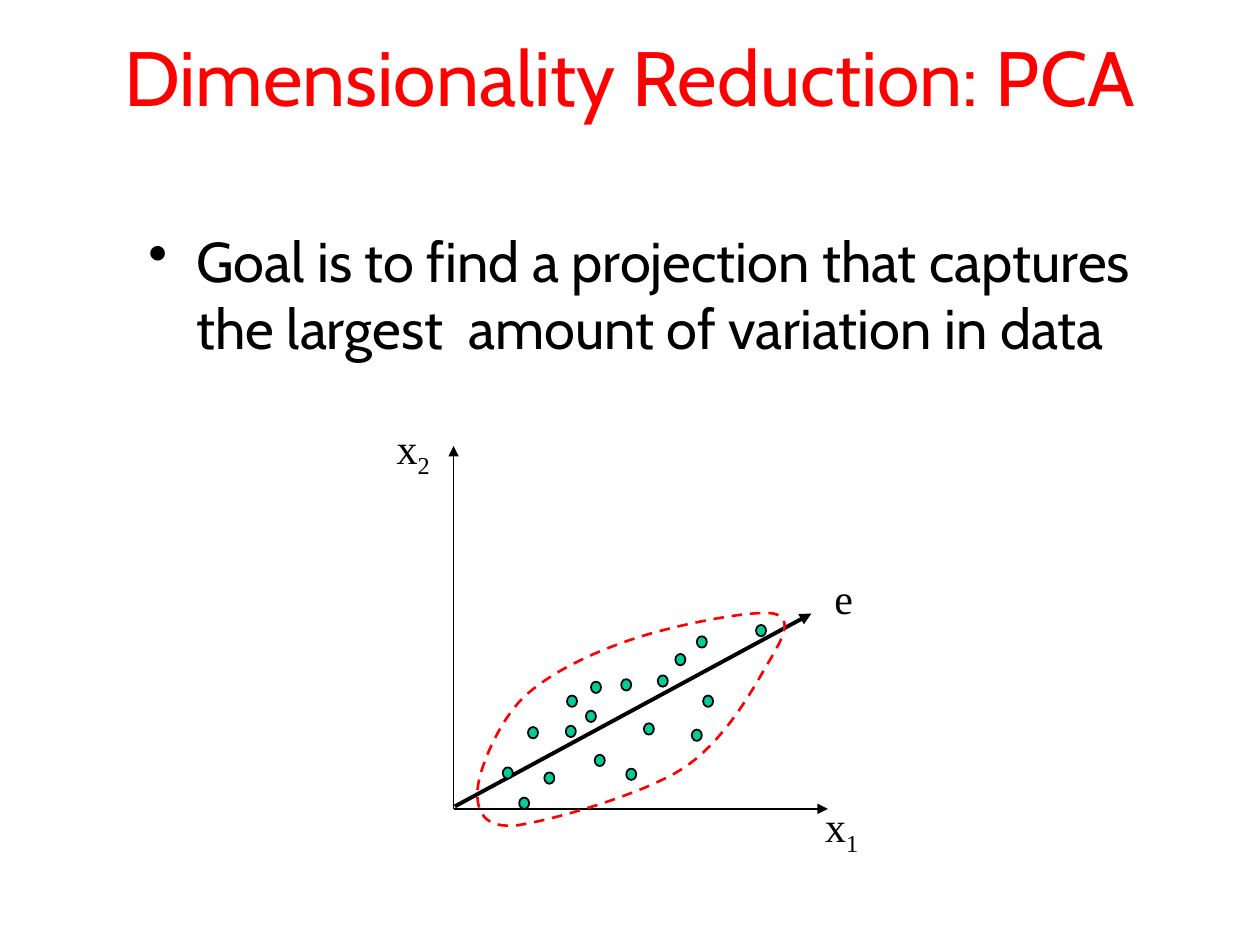
from lxml.etree import SubElement
from pptx import Presentation
from pptx.dml.color import RGBColor
from pptx.enum.dml import MSO_LINE
from pptx.enum.shapes import MSO_CONNECTOR as CONN, MSO_SHAPE as SHAPE
from pptx.enum.text import MSO_ANCHOR as ANCHOR, PP_ALIGN as ALIGN
from pptx.oxml.ns import qn
from pptx.util import Inches, Pt

COLORS = {"title": "FF0000", "ink": "000000", "dot": "00CC99", "cloud": "FF0000"}
SANS, SERIF = "Cabin", "Times New Roman"
COLS, ROWS = 100, 75
DOT_SIZE = (0.8, 0.9)
DOTS = [
    (41.9, 57.7), (45, 55.2), (39.9, 60.9), (46.5, 56.4), (44.9, 57.6),
    (51.1, 57.4), (49.7, 61), (47.2, 59.9), (49.3, 53.9), (55.8, 55.2),
    (60, 49.6), (43.2, 61.3), (52.2, 53.6), (55.3, 50.5), (46.9, 54.1),
    (53.6, 51.9), (54.9, 57.9), (41.2, 63.3),
]
CLOUD_START = (37.9, 62.7)
CLOUD_CURVES = [
    ((38, 61.1), (39.5, 57.4), (41.5, 55.4)),
    ((43.6, 53.4), (47, 51.8), (50.3, 50.7)),
    ((53.6, 49.6), (59.6, 48.4), (61.4, 48.7)),
    ((63.1, 49.1), (62, 50.9), (60.8, 52.9)),
    ((59.6, 55), (57.4, 58.9), (54.2, 61)),
    ((50.9, 63.1), (43.8, 65.1), (41.1, 65.5)),
    ((38.4, 65.8), (37.8, 64.4), CLOUD_START),
]
ORIGIN = (36, 64.2)
AXES = [
    (ORIGIN, (36, 35.4), 1),
    (ORIGIN, (65.7, 64.2), 1),
    ((36.1, 64), (64.4, 48.7), 2.25),
]
LABELS = [
    ("x", "2", (30.5, 33, 4.6, 5.6)),
    ("x", "1", (64.5, 63, 4.6, 5.6)),
    ("e", "", (65.2, 44.9, 3.5, 5)),
]


def bezier(start, c1, c2, end, steps=16):
    """Return points along a cubic curve, without its start."""
    points = []
    for i in range(1, steps + 1):
        t = i / steps
        u = 1 - t
        weights = (u ** 3, 3 * u * u * t, 3 * u * t * t, t ** 3)
        points.append(tuple(sum(w * v for w, v in zip(weights, axis))
                            for axis in zip(start, c1, c2, end)))
    return points


class Sketch:
    """Draws styled elements on a slide measured in columns and rows."""

    def __init__(self, prs):
        self.col = prs.slide_width / COLS
        self.row = prs.slide_height / ROWS
        self.slide = prs.slides.add_slide(prs.slide_layouts[5])
        self.shapes = self.slide.shapes

    def at(self, *cells):
        return [round(v * (self.row if i % 2 else self.col))
                for i, v in enumerate(cells)]

    def font(self, font, name, size, color):
        font.name, font.size = name, Pt(size)
        font.color.rgb = RGBColor.from_string(COLORS[color])

    def line(self, line, color, width):
        line.color.rgb = RGBColor.from_string(COLORS[color])
        line.width = Pt(width)

    def title(self, text, box):
        sp = self.shapes.title
        sp.left, sp.top, sp.width, sp.height = self.at(*box)
        tf = sp.text_frame
        tf.text = text
        tf.vertical_anchor = ANCHOR.MIDDLE
        p = tf.paragraphs[0]
        p.alignment = ALIGN.CENTER
        self.font(p.runs[0].font, SANS, 44, "title")

    def bullet(self, text, box):
        tf = self.shapes.add_textbox(*self.at(*box)).text_frame
        tf.word_wrap = True
        tf.text = text
        p = tf.paragraphs[0]
        pPr = p._p.get_or_add_pPr()
        pPr.set("marL", str(Inches(0.38)))
        pPr.set("indent", str(-Inches(0.38)))
        SubElement(pPr, qn("a:buChar"), char="•")
        self.font(p.runs[0].font, SANS, 32, "ink")

    def label(self, text, subscript, box):
        tf = self.shapes.add_textbox(*self.at(*box)).text_frame
        tf.word_wrap = False
        tf.vertical_anchor = ANCHOR.MIDDLE
        tf.text = text
        p = tf.paragraphs[0]
        p.alignment = ALIGN.CENTER
        if subscript:
            r = p.add_run()
            r.text = subscript
            r.font._element.set("baseline", "-25000")
        for r in p.runs:
            self.font(r.font, SERIF, 24, "ink")

    def arrow(self, start, end, width):
        sp = self.shapes.add_connector(CONN.STRAIGHT, *self.at(*start, *end))
        self.line(sp.line, "ink", width)
        spPr = sp._element.spPr
        SubElement(spPr.find(qn("a:ln")), qn("a:tailEnd"), type="triangle")
        SubElement(spPr, qn("a:effectLst"))

    def dot(self, left, top):
        sp = self.shapes.add_shape(SHAPE.OVAL, *self.at(left, top, *DOT_SIZE))
        sp.shadow.inherit = False
        sp.fill.solid()
        sp.fill.fore_color.rgb = RGBColor.from_string(COLORS["dot"])
        self.line(sp.line, "ink", 1)

    def cloud(self, start, curves):
        points, pen = [], start
        for curve in curves:
            points += bezier(pen, *curve)
            pen = curve[-1]
        builder = self.shapes.build_freeform(*self.at(*start))
        builder.add_line_segments([self.at(*pt) for pt in points[:-1]], close=True)
        sp = builder.convert_to_shape()
        sp.shadow.inherit = False
        sp.fill.background()
        self.line(sp.line, "cloud", 1.5)
        sp.line.dash_style = MSO_LINE.DASH


def main():
    prs = Presentation()
    prs.slide_width, prs.slide_height = Inches(10), Inches(7.5)
    s = Sketch(prs)
    s.title("Dimensionality Reduction: PCA", (0, -1.7, 100, 15.4))
    s.bullet("Goal is to find a projection that captures the largest  amount "
             "of variation in data", (10.8, 17.5, 82, 52.5))
    for axis in AXES:
        s.arrow(*axis)
    for dot in DOTS:
        s.dot(*dot)
    s.cloud(CLOUD_START, CLOUD_CURVES)
    for label in LABELS:
        s.label(*label)
    prs.save("out.pptx")


if __name__ == "__main__":
    main()
